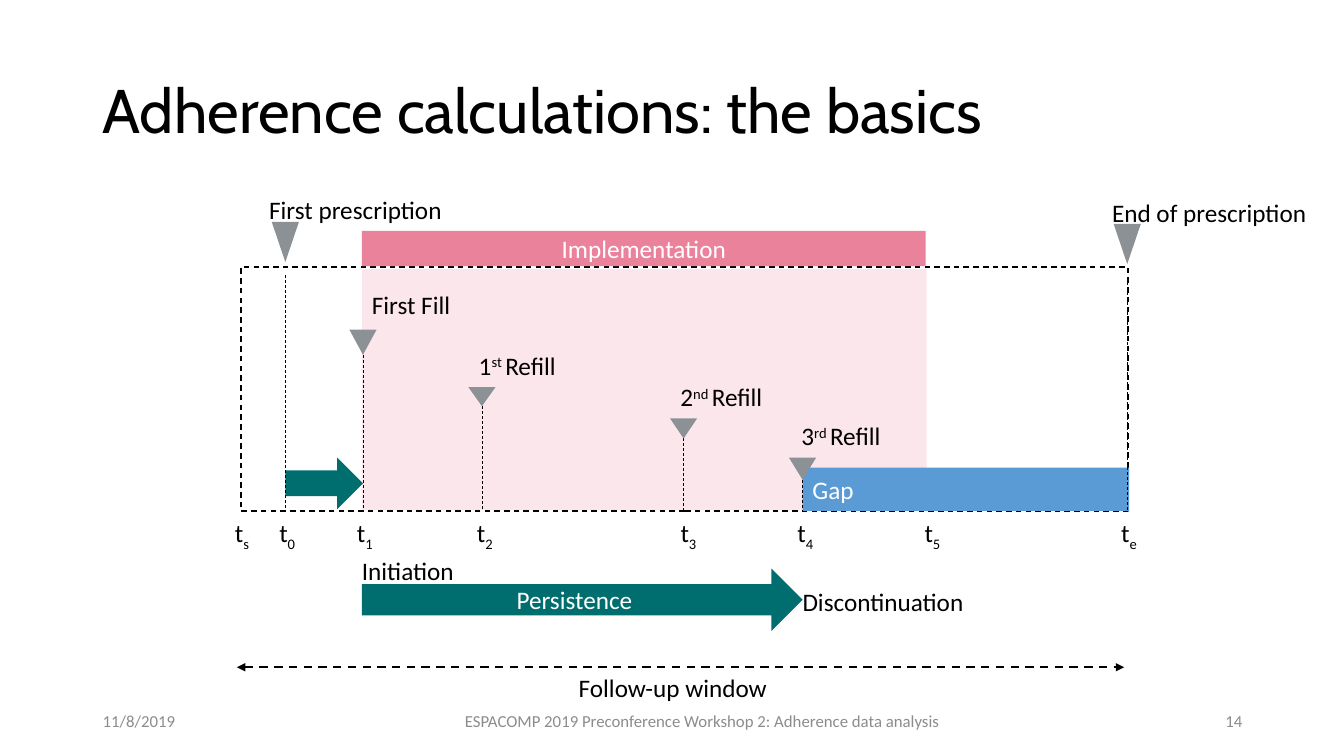
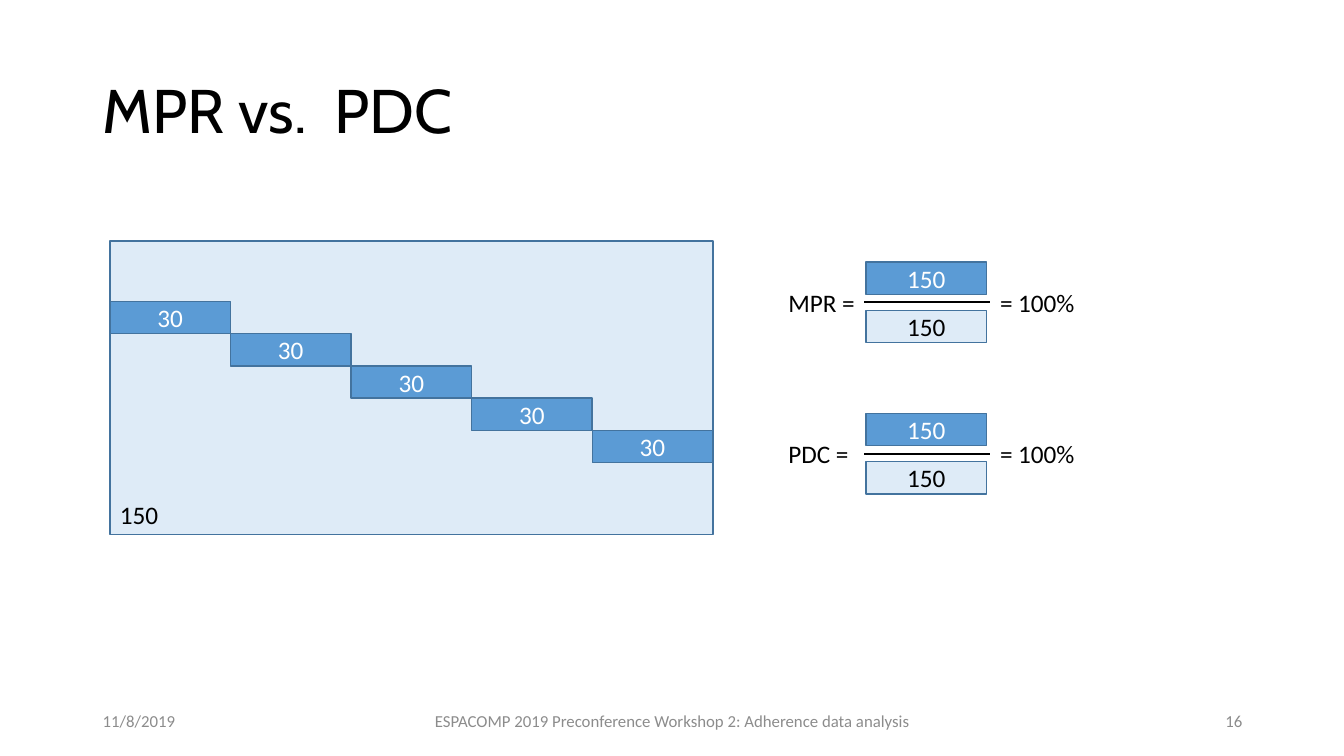
import pptx
import pptx.util
import pptx.dml.color
import pptx.enum.dml
import pptx.enum.shapes
import pptx.enum.text
import pptx.oxml.ns
from lxml import etree

Inches = pptx.util.Inches
Pt = pptx.util.Pt
Shape = pptx.enum.shapes.MSO_SHAPE
Align = pptx.enum.text.PP_ALIGN
Anchor = pptx.enum.text.MSO_ANCHOR

BLACK, WHITE = "000000", "FFFFFF"
GREY, MARKER_GREY = "8C8C8C", "8C9196"
PINK, TEAL, BLUE = "EB829B", "006E6E", "5B9BD5"
PALE_BLUE, OUTLINE_BLUE = "DEEBF7", "43739E"

DATE = "11/8/2019"
FOOTER = "ESPACOMP 2019 Preconference Workshop 2: Adherence data analysis"

TIMELINE_TITLE = "Adherence calculations: the basics"
TIME_POINTS = [("s", 2.33), ("0", 2.77), ("1", 3.54), ("2", 4.73),
               ("3", 6.75), ("4", 7.91), ("5", 9.17), ("e", 11.12)]
CAPTIONS = [("First prescription", 2.67, 1.92), ("End of prescription", 11.03, 1.95),
            ("Initiation", 3.59, 5.5), ("Discontinuation", 7.96, 5.81),
            ("Follow-up window", 5.74, 6.66)]
FILLS = [("First Fill", 3.59, 2.81),
         ([("1", 0), ("st ", 30), ("Refill", 0)], 4.65, 3.41),
         ([("2", 0), ("nd ", 30), ("Refill", 0)], 6.65, 3.72),
         ([("3", 0), ("rd ", 30), ("Refill", 0)], 7.85, 4.11)]
MARKERS = [(2.83, 2.2, 0.4, 2.73), (3.6, 3.27, 0.25, 3.52), (4.78, 3.84, 0.19, 4.03),
           (6.78, 4.15, 0.2, 4.35), (7.96, 4.54, 0.22, 4.76), (11.18, 2.22, 0.4, 2.75)]
MARKER_WIDTH = 0.27
WINDOW_BOTTOM = 5.07

RATIO_TITLE = "MPR vs.  PDC"
SUPPLIES = ["30"] * 5
PERIOD = "150"
PERIOD_BOX = (1.09, 2.39, 5.98, 2.91)
FIRST_SUPPLY_TOP = 2.99
BAR_HEIGHT = 0.32
FRACTIONS = [("MPR =", "150", "150", "= 100%", 3.0),
             ("PDC =", "150", "150", "= 100%", 4.5)]


def rgb(color):
    return pptx.dml.color.RGBColor.from_string(color)


def write(shape, text, size=18, font="Calibri", color=BLACK, align=Align.LEFT,
          anchor=Anchor.MIDDLE, spacing=None, inset=None):
    frame = shape.text_frame
    frame.word_wrap = True
    frame.vertical_anchor = anchor
    if inset is not None:
        frame.margin_left = frame.margin_right = Inches(inset)
        frame.margin_top = frame.margin_bottom = Inches(inset)
    paragraph = frame.paragraphs[0]
    paragraph.alignment = align
    if spacing:
        paragraph.line_spacing = spacing
    for part, baseline in [(text, 0)] if isinstance(text, str) else text:
        run = paragraph.add_run()
        run.text = part
        run.font.size = Pt(size)
        run.font.name = font
        run.font.color.rgb = rgb(color)
        if baseline:
            run._r.get_or_add_rPr().set("baseline", str(baseline * 1000))


def add_text(slide, text, box, **style):
    write(slide.shapes.add_textbox(*map(Inches, box)), text, **style)


def add_caption(slide, text, left, top, width=2.1):
    add_text(slide, text, (left, top, width, 0.31), anchor=Anchor.TOP,
             spacing=Pt(22), inset=0)


def add_block(slide, box, fill=None, kind=Shape.RECTANGLE, line=None, dashed=False,
              opacity=None, text=None, **style):
    block = slide.shapes.add_shape(kind, *map(Inches, box))
    block.shadow.inherit = False
    if fill:
        block.fill.solid()
        block.fill.fore_color.rgb = rgb(fill)
    else:
        block.fill.background()
    if opacity:
        color = block.fill._xPr.find(".//" + pptx.oxml.ns.qn("a:srgbClr"))
        etree.SubElement(color, pptx.oxml.ns.qn("a:alpha"), val=str(opacity * 1000))
    if line:
        block.line.color.rgb = rgb(line)
        block.line.width = Pt(1)
    else:
        block.line.fill.background()
    if dashed:
        block.line.dash_style = pptx.enum.dml.MSO_LINE.DASH
    if text:
        write(block, text, **style)
    return block


def add_line(slide, start, end, width=1.5, dashed=False, arrows=False):
    line = slide.shapes.add_connector(pptx.enum.shapes.MSO_CONNECTOR.STRAIGHT,
                                      *map(Inches, start + end))
    line.line.color.rgb = rgb(BLACK)
    line.line.width = Pt(width)
    if dashed:
        line.line.dash_style = pptx.enum.dml.MSO_LINE.DASH
    if arrows:
        outline = line.line._get_or_add_ln()
        for tag in ("a:headEnd", "a:tailEnd"):
            etree.SubElement(outline, pptx.oxml.ns.qn(tag), type="triangle")
    etree.SubElement(line._element.spPr, pptx.oxml.ns.qn("a:effectLst"))


def add_slide(deck, title, number, footer_align):
    slide = deck.slides.add_slide(deck.slide_layouts[6])
    add_text(slide, title, (0.92, 0.4, 11.5, 1.45), size=44, font="Cabin", spacing=0.9)
    for text, left, width, align in [(DATE, 0.92, 3, Align.LEFT),
                                     (FOOTER, 3.92, 5.5, footer_align),
                                     (number, 9.42, 3, Align.RIGHT)]:
        add_text(slide, text, (left, 6.95, width, 0.4), size=12, color=GREY, align=align)
    return slide


def build_timeline(deck):
    slide = add_slide(deck, TIMELINE_TITLE, "14", Align.RIGHT)
    centred = {"color": WHITE, "align": Align.CENTER}
    for subscript, left in TIME_POINTS:
        add_caption(slide, [("t", 0), (subscript, -25)], left, 5.17, 0.4)
    add_block(slide, (2.39, 2.65, 8.8, 2.42), line=BLACK, dashed=True)
    add_block(slide, (3.59, 2.67, 5.6, 2.39), PINK, opacity=20)
    add_block(slide, (3.59, 2.29, 5.59, 0.35), PINK, text="Implementation", **centred)
    add_block(slide, (2.83, 4.54, 0.77, 0.51), TEAL, Shape.RIGHT_ARROW)
    add_block(slide, (3.59, 5.64, 4.37, 0.62), TEAL, Shape.RIGHT_ARROW,
              text="Persistence", **centred)
    add_block(slide, (7.96, 4.64, 3.24, 0.43), BLUE, text="Gap", color=WHITE)
    for caption, left, top in CAPTIONS:
        add_caption(slide, caption, left, top)
    for fill, left, top in FILLS:
        add_text(slide, fill, (left, top, 1.5, 0.43))
    for center, top, height, line_top in MARKERS:
        add_line(slide, (center, line_top), (center, WINDOW_BOTTOM), width=0.5, dashed=True)
        marker = add_block(slide, (center - MARKER_WIDTH / 2, top, MARKER_WIDTH, height),
                           MARKER_GREY, Shape.ISOSCELES_TRIANGLE)
        marker.rotation = 180
    add_line(slide, (2.35, 6.62), (11.15, 6.62), dashed=True, arrows=True)


def build_ratios(deck):
    slide = add_slide(deck, RATIO_TITLE, "16", Align.CENTER)
    supply_style = {"fill": BLUE, "line": OUTLINE_BLUE, "color": WHITE, "align": Align.CENTER}
    period_style = {"fill": PALE_BLUE, "line": OUTLINE_BLUE}
    add_block(slide, PERIOD_BOX, text=PERIOD, anchor=Anchor.BOTTOM, **period_style)
    bar_width = PERIOD_BOX[2] / len(SUPPLIES)
    for step, days in enumerate(SUPPLIES):
        add_block(slide, (PERIOD_BOX[0] + step * bar_width,
                          FIRST_SUPPLY_TOP + step * BAR_HEIGHT, bar_width, BAR_HEIGHT),
                  text=days, **supply_style)
    for label, supplied, period, result, middle in FRACTIONS:
        add_text(slide, label, (7.72, middle - 0.2, 0.95, 0.4))
        add_block(slide, (8.59, middle - 0.4, bar_width, BAR_HEIGHT), text=supplied,
                  **supply_style)
        add_line(slide, (8.57, middle), (9.82, middle))
        add_block(slide, (8.59, middle + 0.08, bar_width, BAR_HEIGHT), text=period,
                  align=Align.CENTER, **period_style)
        add_text(slide, result, (9.82, middle - 0.2, 1.1, 0.4))


def main():
    deck = pptx.Presentation()
    deck.slide_width, deck.slide_height = Inches(13.33), Inches(7.5)
    build_timeline(deck)
    build_ratios(deck)
    deck.save("out.pptx")


if __name__ == "__main__":
    main()
